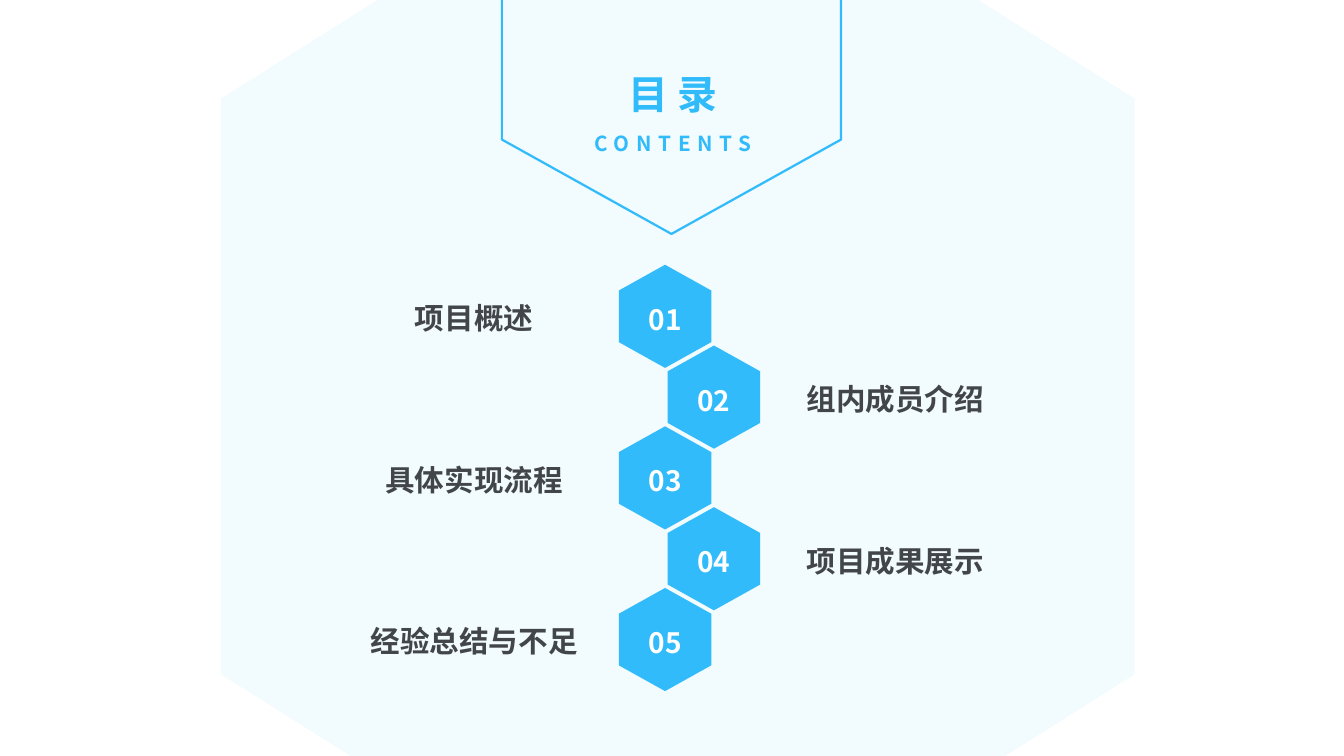
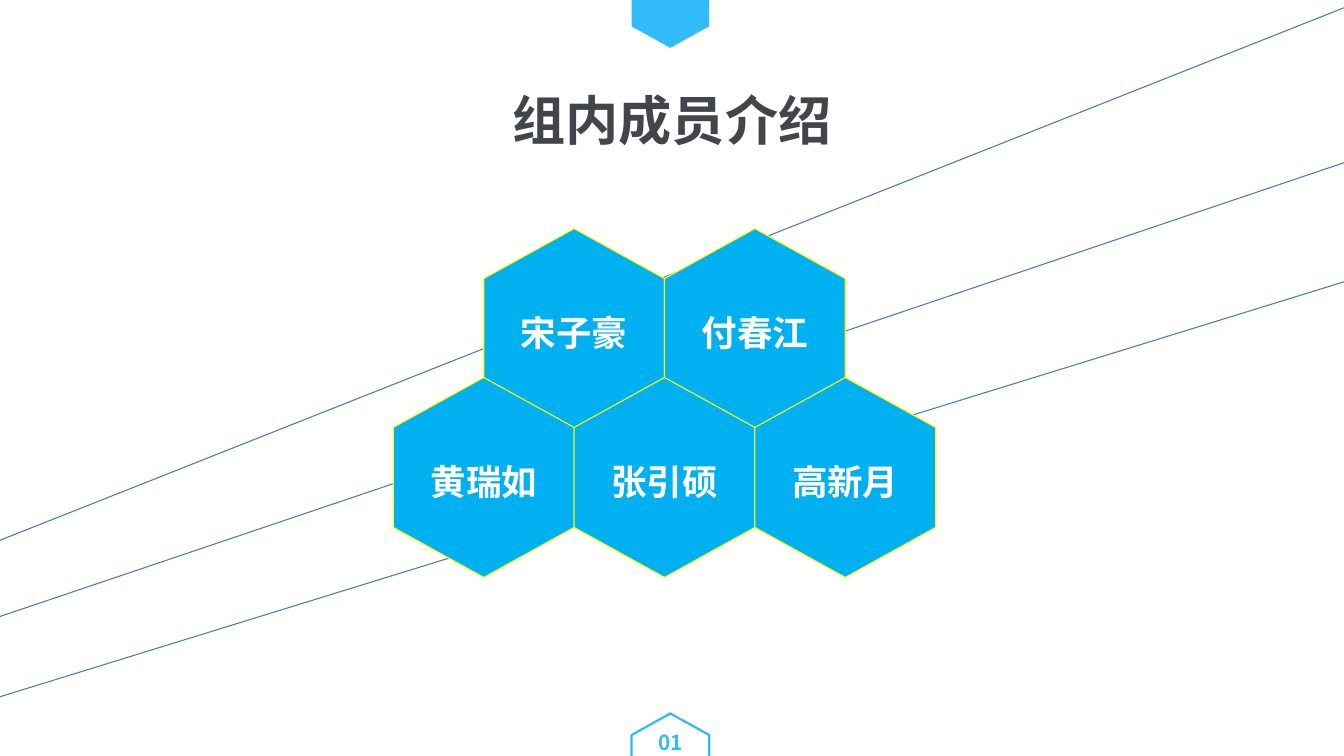
from dataclasses import dataclass

from lxml.etree import SubElement
from pptx import Presentation
from pptx.dml.color import RGBColor
from pptx.enum.shapes import MSO_CONNECTOR
from pptx.enum.text import MSO_ANCHOR, MSO_AUTO_SIZE, PP_ALIGN
from pptx.oxml.ns import qn
from pptx.shapes.autoshape import Shape
from pptx.slide import Slide
from pptx.util import Emu, Pt

PX = 9144  # 100 px to the inch
SLIDE_WIDTH, SLIDE_HEIGHT = 1264, 711
FONT = "Noto Sans CJK SC"
SKY, AZURE, STEEL = "31BBFB", "00B0F0", "4B7EBC"
INK, WHITE, YELLOW = "42464B", "FFFFFF", "FFFF00"
TITLE_ONLY = 5


@dataclass(frozen=True)
class Box:
    left: int
    top: int
    width: int
    height: int


@dataclass(frozen=True)
class TextStyle:
    size: int
    color: str
    line_spacing: float = 1.16
    letter_spacing: float = 0


@dataclass(frozen=True)
class HexagonStyle:
    fill: str | None = None
    line: str | None = None
    line_width: float = 1.5
    opacity: int = 100


@dataclass(frozen=True)
class Ray:
    start: tuple[int, int]
    end: tuple[int, int]


SOLID = HexagonStyle(fill=SKY)
OUTLINE = HexagonStyle(line=SKY)
TINT = HexagonStyle(fill=SKY, opacity=6)
MEMBER = HexagonStyle(fill=AZURE, line=YELLOW, line_width=0.75)

CONTENTS_TITLE = TextStyle(27, SKY, line_spacing=0.91)
CONTENTS_SUBTITLE = TextStyle(14, SKY, letter_spacing=4.5)
CONTENTS_NUMBER = TextStyle(19, WHITE)
CONTENTS_LABEL = TextStyle(20, INK)
PAGE_TITLE = TextStyle(36, INK)
PAGE_NUMBER = TextStyle(14, SKY)
MEMBER_NAME = TextStyle(24, WHITE)

SECTIONS = ["项目概述", "组内成员介绍", "具体实现流程", "项目成果展示", "经验总结与不足"]
MEMBER_ROWS = [["宋子豪", "付春江"], ["黄瑞如", "张引硕", "高新月"]]
RAYS = [
    Ray((-51, 671), (1274, 262)),
    Ray((-51, 597), (1282, 147)),
    Ray((-35, 522), (1290, -3)),
]


def px(length: float) -> Emu:
    return Emu(round(length * PX))


def rgb(color: str) -> RGBColor:
    return RGBColor.from_string(color)


def write(shape: Shape, text: str, style: TextStyle) -> None:
    """Put one centred bold paragraph into the shape."""
    frame = shape.text_frame
    frame.word_wrap = True
    frame.margin_left = frame.margin_right = px(3)
    frame.margin_top = frame.margin_bottom = px(1)
    frame.text = text
    paragraph = frame.paragraphs[0]
    paragraph.alignment = PP_ALIGN.CENTER
    paragraph.line_spacing = style.line_spacing
    font = paragraph.font
    font.name, font.size, font.bold = FONT, Pt(style.size), True
    font.color.rgb = rgb(style.color)
    SubElement(font._element, qn("a:ea"), typeface=FONT)
    if style.letter_spacing:
        font._element.set("spc", str(round(style.letter_spacing * 100)))


def write_from_top(shape: Shape, text: str, style: TextStyle) -> None:
    write(shape, text, style)
    shape.text_frame.vertical_anchor = MSO_ANCHOR.TOP
    shape.text_frame.auto_size = MSO_AUTO_SIZE.SHAPE_TO_FIT_TEXT


def add_text(slide: Slide, box: Box, text: str, style: TextStyle) -> None:
    shape = slide.shapes.add_textbox(px(box.left), px(box.top), px(box.width), px(box.height))
    write_from_top(shape, text, style)


def set_title(slide: Slide, box: Box, text: str, style: TextStyle) -> None:
    """Fill the title placeholder and bring it to the front."""
    title = slide.shapes.title
    title.left, title.top = px(box.left), px(box.top)
    title.width, title.height = px(box.width), px(box.height)
    write_from_top(title, text, style)
    slide.shapes._spTree.append(title._element)


def add_hexagon(slide: Slide, box: Box, style: HexagonStyle) -> Shape:
    """Draw a hexagon standing on a corner."""
    left, middle, right = (px(box.left + box.width * part) for part in (0, 0.5, 1))
    top, shoulder, hip, bottom = (px(box.top + box.height * part) for part in (0, 0.25, 0.75, 1))
    builder = slide.shapes.build_freeform(right, hip)
    builder.add_line_segments(
        [(middle, bottom), (left, hip), (left, shoulder), (middle, top), (right, shoulder)]
    )
    shape = builder.convert_to_shape()
    shape.shadow.inherit = False
    if style.fill:
        shape.fill.solid()
        shape.fill.fore_color.rgb = rgb(style.fill)
        if style.opacity < 100:
            color = shape._element.spPr.find(f".//{qn('a:srgbClr')}")
            SubElement(color, qn("a:alpha"), val=str(style.opacity * 1000))
    else:
        shape.fill.background()
    if style.line:
        shape.line.color.rgb = rgb(style.line)
        shape.line.width = Pt(style.line_width)
    else:
        shape.line.fill.background()
    return shape


def add_labelled_hexagon(
    slide: Slide, box: Box, style: HexagonStyle, text: str, text_style: TextStyle
) -> None:
    shape = add_hexagon(slide, box, style)
    write(shape, text, text_style)
    shape.text_frame.vertical_anchor = MSO_ANCHOR.MIDDLE


def add_ray(slide: Slide, ray: Ray) -> None:
    connector = slide.shapes.add_connector(
        MSO_CONNECTOR.STRAIGHT, *(px(value) for value in ray.start + ray.end)
    )
    connector.line.color.rgb = rgb(STEEL)
    connector.line.width = Pt(0.75)
    SubElement(connector._element.spPr, qn("a:effectLst"))


def build_contents(slide: Slide) -> None:
    add_hexagon(slide, Box(208, -178, 859, 1083), TINT)
    add_hexagon(slide, Box(472, -135, 319, 355), OUTLINE)
    set_title(slide, Box(410, 69, 445, 44), "目 录", CONTENTS_TITLE)
    add_text(slide, Box(494, 118, 278, 30), "CONTENTS", CONTENTS_SUBTITLE)
    for index, section in enumerate(SECTIONS):
        hexagon_left, label_left = (628, 729) if index % 2 else (582, 333)
        top = 249 + 76 * index
        box = Box(hexagon_left, top, 87, 97)
        add_labelled_hexagon(slide, box, SOLID, f"{index + 1:02}", CONTENTS_NUMBER)
        add_text(slide, Box(label_left, top + 27, 226, 42), section, CONTENTS_LABEL)


def build_members(slide: Slide) -> None:
    for ray in RAYS:
        add_ray(slide, ray)
    add_hexagon(slide, Box(594, -36, 73, 81), SOLID)
    add_hexagon(slide, Box(594, 671, 73, 81), OUTLINE)
    add_text(slide, Box(600, 682, 61, 30), "01", PAGE_NUMBER)
    width, height = 170, 188
    for row, names in enumerate(MEMBER_ROWS):
        row_left = 455 - row * width // 2
        for column, name in enumerate(names):
            box = Box(row_left + column * width, 215 + row * 140, width, height)
            add_labelled_hexagon(slide, box, MEMBER, name, MEMBER_NAME)
    set_title(slide, Box(356, 72, 552, 73), "组内成员介绍", PAGE_TITLE)


def main() -> None:
    presentation = Presentation()
    presentation.slide_width, presentation.slide_height = px(SLIDE_WIDTH), px(SLIDE_HEIGHT)
    layout = presentation.slide_layouts[TITLE_ONLY]
    for build in (build_contents, build_members):
        build(presentation.slides.add_slide(layout))
    presentation.save("out.pptx")


if __name__ == "__main__":
    main()
